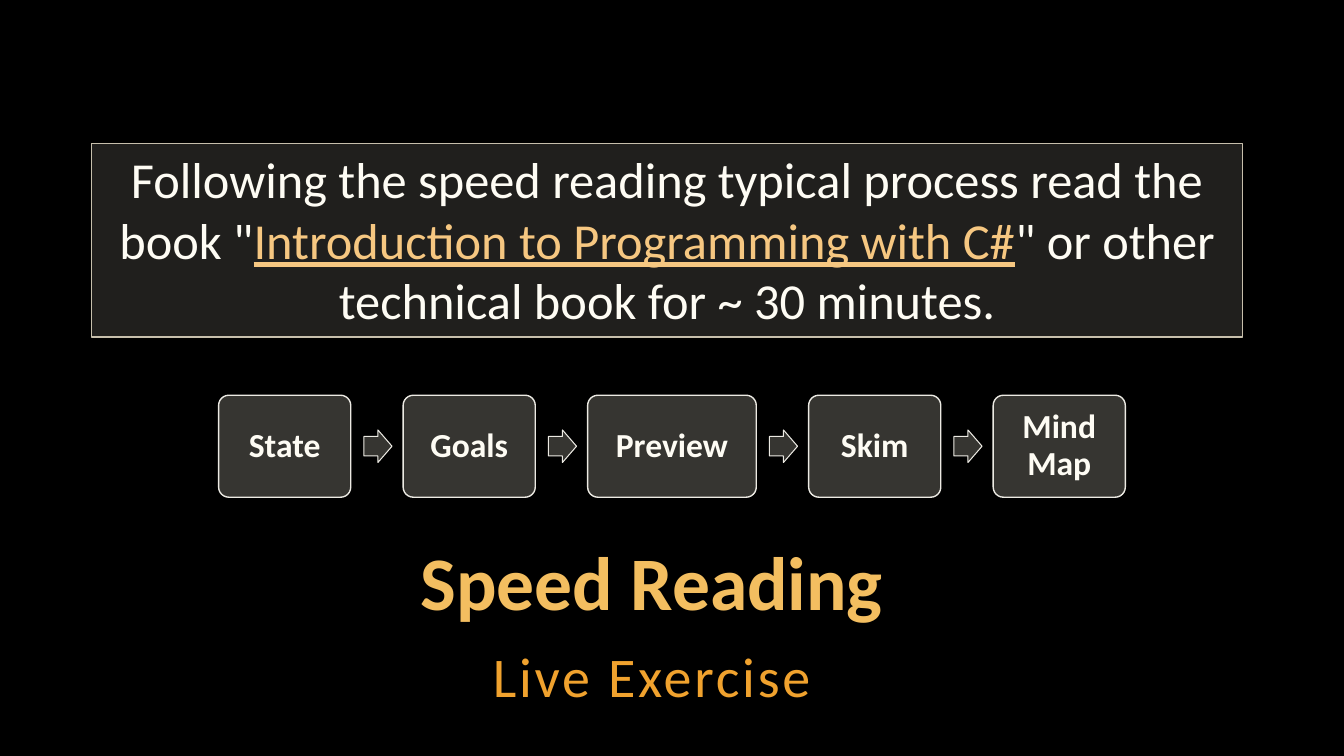
"""Build the speed reading live exercise slide."""
import dataclasses
import typing

import lxml.etree
import pptx
import pptx.dml.color
import pptx.enum.shapes
import pptx.enum.text
import pptx.oxml.ns
import pptx.util

Cm = pptx.util.Cm
Pt = pptx.util.Pt
Shapes = pptx.enum.shapes.MSO_SHAPE
Anchor = pptx.enum.text.MSO_ANCHOR


@dataclasses.dataclass(frozen=True)
class Theme:
    font: str = "Calibri"
    background: str = "000000"
    panel: str = "D9D5C7"
    task_border: str = "C7BFAC"
    step_border: str = "ECEAE3"
    text: str = "FEFCF4"
    link: str = "F6C781"
    title: str = "F3BE60"
    subtitle: str = "F0A22E"
    title_size: int = 54
    subtitle_size: int = 40
    task_size: int = 36
    step_size: int = 24


@dataclasses.dataclass(frozen=True)
class Box:
    left: float
    top: float
    width: float
    height: float

    def lengths(self) -> list[int]:
        return [Cm(value) for value in dataclasses.astuple(self)]


@dataclasses.dataclass(frozen=True)
class Span:
    text: str
    color: str
    size: int
    bold: bool = False
    underline: bool = False
    tracking: int = 0


@dataclasses.dataclass(frozen=True)
class Step:
    label: str
    width: float = 3.33


THEME = Theme()
STEPS = [Step("State"), Step("Goals"), Step("Preview", 4.25), Step("Skim"), Step("Mind Map")]
FLOW_LEFT, FLOW_TOP, STEP_HEIGHT, STEP_GAP = 5.51, 9.96, 2.57, 1.32
ARROW_OFFSET, ARROW_WIDTH, ARROW_HEIGHT = 0.33, 0.71, 0.82


def rgb(color: str) -> pptx.dml.color.RGBColor:
    return pptx.dml.color.RGBColor.from_string(color)


def apply(target: typing.Any, values: dict[str, typing.Any]) -> None:
    for name, value in values.items():
        setattr(target, name, value)


def write(shape: typing.Any, spans: list[Span], anchor: Anchor, inset: float,
          side_inset: float, line_spacing: float = 1.0) -> None:
    frame = shape.text_frame
    apply(frame, {
        "word_wrap": True, "vertical_anchor": anchor,
        "margin_left": Cm(side_inset), "margin_right": Cm(side_inset),
        "margin_top": Cm(inset), "margin_bottom": Cm(inset),
    })
    paragraph = frame.paragraphs[0]
    apply(paragraph, {"alignment": pptx.enum.text.PP_ALIGN.CENTER, "line_spacing": line_spacing})
    for span in spans:
        run = paragraph.add_run()
        run.text = span.text
        apply(run.font, {"name": THEME.font, "size": Pt(span.size),
                         "bold": span.bold, "underline": span.underline})
        run.font.color.rgb = rgb(span.color)
        if span.tracking:
            run._r.get_or_add_rPr().set("spc", str(span.tracking * 100))


def add_panel(slide: typing.Any, kind: Shapes, box: Box, opacity: int, border: str,
              border_width: float, adjustments: tuple[float, ...] = ()) -> typing.Any:
    panel = slide.shapes.add_shape(kind, *box.lengths())
    panel.shadow.inherit = False
    panel.fill.solid()
    panel.fill.fore_color.rgb = rgb(THEME.panel)
    fill_color = panel._element.spPr.find(
        pptx.oxml.ns.qn("a:solidFill") + "/" + pptx.oxml.ns.qn("a:srgbClr"))
    lxml.etree.SubElement(fill_color, pptx.oxml.ns.qn("a:alpha"), val=str(opacity * 1000))
    panel.line.color.rgb = rgb(border)
    panel.line.width = Pt(border_width)
    for index, value in enumerate(adjustments):
        panel.adjustments[index] = value
    return panel


def add_heading(slide: typing.Any, box: Box, span: Span, anchor: Anchor,
                line_spacing: float) -> None:
    heading = slide.shapes.add_textbox(*box.lengths())
    write(heading, [span], anchor, 0.1, 0.1, line_spacing)


def add_task(slide: typing.Any) -> None:
    task = add_panel(slide, Shapes.RECTANGLE, Box(2.31, 3.61, 29.01, 4.88), 15,
                     THEME.task_border, 1)
    write(task, [
        Span('Following the speed reading typical process read the book "',
             THEME.text, THEME.task_size),
        Span("Introduction to Programming with C#", THEME.link, THEME.task_size, underline=True),
        Span('" or other technical book for ~ 30 minutes.', THEME.text, THEME.task_size),
    ], Anchor.TOP, 0.13, 0.25)


def add_flow(slide: typing.Any) -> None:
    left = FLOW_LEFT
    arrow_top = FLOW_TOP + (STEP_HEIGHT - ARROW_HEIGHT) / 2
    for position, step in enumerate(STEPS):
        if position:
            arrow = Box(left - STEP_GAP + ARROW_OFFSET, arrow_top, ARROW_WIDTH, ARROW_HEIGHT)
            add_panel(slide, Shapes.RIGHT_ARROW, arrow, 25, THEME.step_border, 0.75, (0.6, 0.5))
        card = add_panel(slide, Shapes.ROUNDED_RECTANGLE,
                         Box(left, FLOW_TOP, step.width, STEP_HEIGHT), 25,
                         THEME.step_border, 1, (0.1,))
        write(card, [Span(step.label, THEME.text, THEME.step_size, bold=True)],
              Anchor.MIDDLE, 0.25, 0.25, 0.9)
        left += step.width + STEP_GAP


def main() -> None:
    presentation = pptx.Presentation()
    apply(presentation, {"slide_width": Cm(33.87), "slide_height": Cm(19.05)})
    slide = presentation.slides.add_slide(presentation.slide_layouts[6])
    slide.background.fill.solid()
    slide.background.fill.fore_color.rgb = rgb(THEME.background)
    add_heading(slide, Box(4.01, 13.61, 24.84, 2.29),
                Span("Speed Reading", THEME.title, THEME.title_size, bold=True),
                Anchor.BOTTOM, 0.9)
    add_heading(slide, Box(4.01, 15.98, 24.84, 1.91),
                Span("Live Exercise", THEME.subtitle, THEME.subtitle_size, tracking=2),
                Anchor.TOP, 1.05)
    add_task(slide)
    add_flow(slide)
    presentation.save("out.pptx")


if __name__ == "__main__":
    main()
